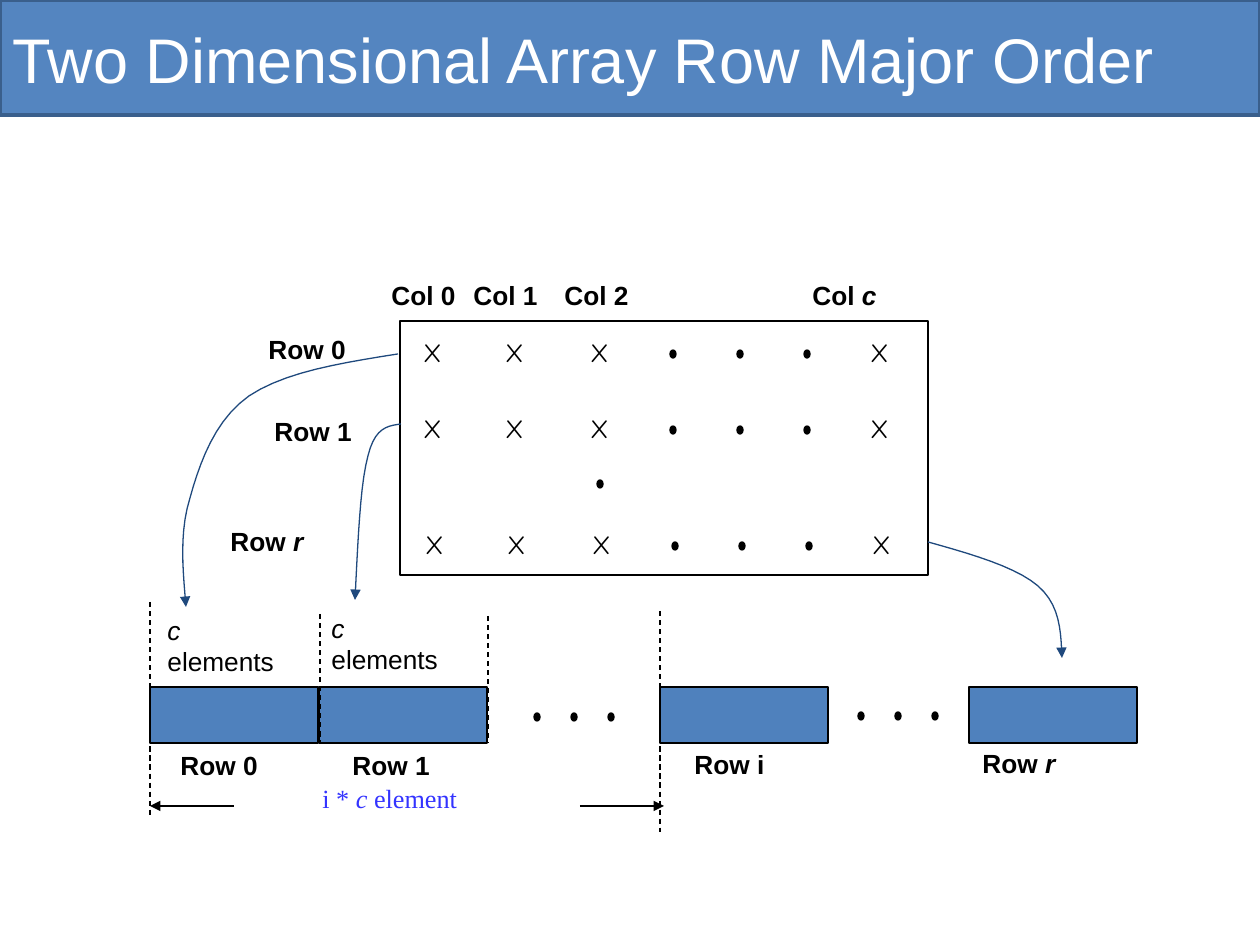
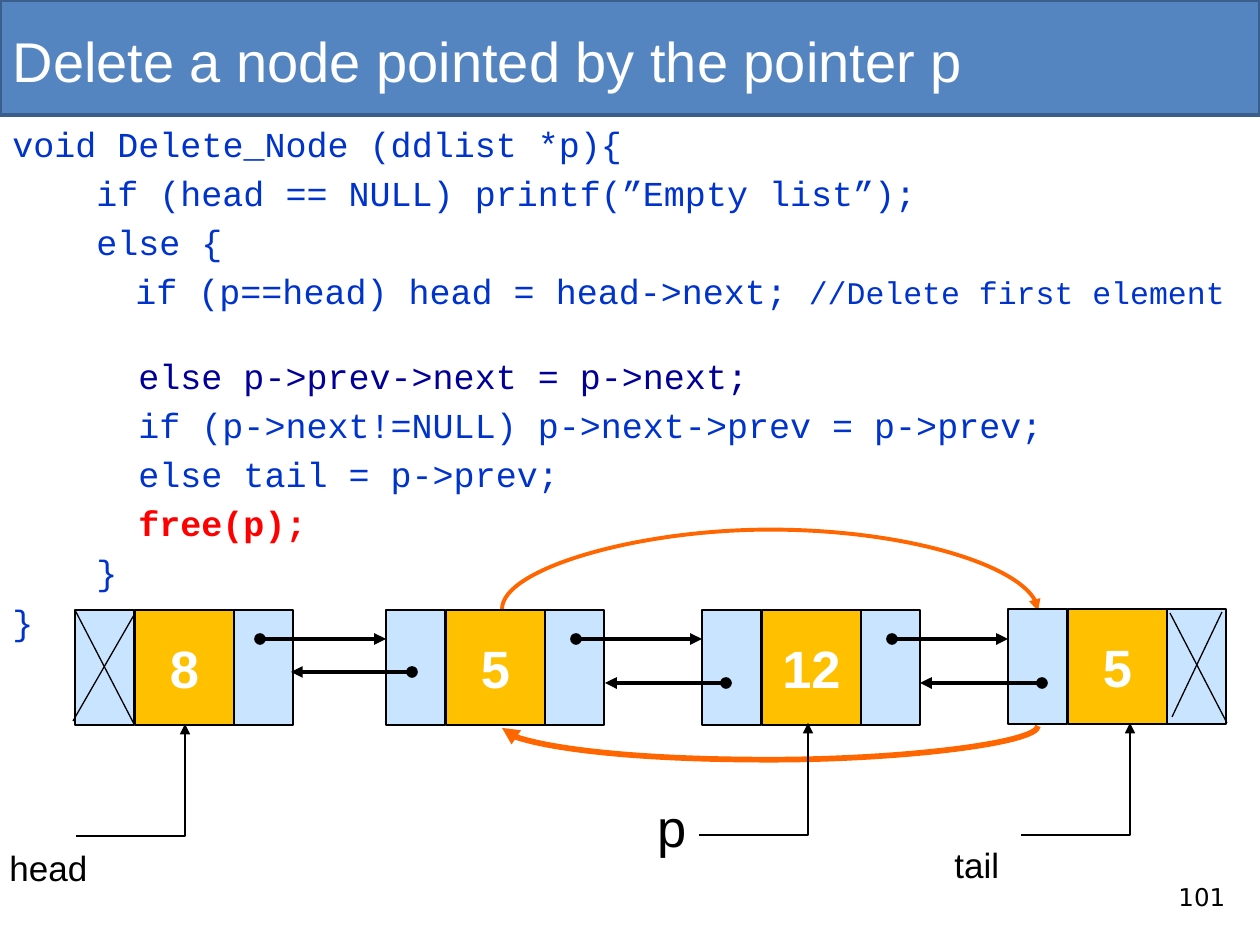
from lxml import etree
from pptx import Presentation, util as u
from pptx.dml.color import RGBColor
from pptx.enum import dml, shapes, text
from pptx.oxml.ns import qn

PX_PER_INCH = 126
BAND, BAND_EDGE = "5485C0", "3A5F8C"
BLACK, WHITE = "000000", "FFFFFF"
MEMORY_BLUE, LINK_BLUE, FORMULA_BLUE = "4F81BD", "1F497D", "3333FF"
POINTER_BLUE, DATA_GOLD, BYPASS_ORANGE = "C9E4FF", "FFC000", "FF6600"
CODE_BLUE, CODE_NAVY, CODE_RED = "0033CC", "000099", "FF0000"
BEZIER_STEPS = 10


def px(length):
    return u.Emu(round(length * 914400 / PX_PER_INCH))


def rgb(color):
    return RGBColor.from_string(color)


def set_font(font, size, color=BLACK, name="Arial", bold=False):
    font.name, font.size, font.bold = name, u.Pt(size), bold
    font.color.rgb = rgb(color)


# ---- Shapes and text ----
def add_box(page, at, fill=None, line=BLACK, weight=0.75, kind=shapes.MSO_SHAPE.RECTANGLE):
    box = page.shapes.add_shape(kind, *map(px, at))
    box.shadow.inherit = False
    if fill:
        box.fill.solid()
        box.fill.fore_color.rgb = rgb(fill)
    else:
        box.fill.background()
    box.line.color.rgb = rgb(line)
    box.line.width = u.Pt(weight)
    return box


def add_dots(page, lefts, top):
    for left in lefts:
        add_box(page, (left, top, 6, 8), BLACK, kind=shapes.MSO_SHAPE.OVAL)


def add_label(page, words, at, size=15, wrap=True, inset=None, **style):
    """Pieces between bars are italic; each line is a paragraph."""
    box = page.shapes.add_textbox(*map(px, at))
    frame = box.text_frame
    frame.word_wrap = wrap
    if inset is not None:
        frame.margin_left = frame.margin_right = px(inset)
    for number, row in enumerate(words.split("\n")):
        para = frame.add_paragraph() if number else frame.paragraphs[0]
        set_font(para.font, size, **style)
        for index, piece in enumerate(row.split("|")):
            if piece:
                span = para.add_run()
                span.text = piece
                if index % 2:
                    span.font.italic = True


def add_title(page, words, at, size):
    title = page.shapes.title
    title.left, title.top, title.width, title.height = map(px, at)
    frame = title.text_frame
    frame.text = words
    frame.auto_size = text.MSO_AUTO_SIZE.NONE
    frame.vertical_anchor = text.MSO_ANCHOR.MIDDLE
    frame.paragraphs[0].alignment = text.PP_ALIGN.LEFT
    set_font(frame.paragraphs[0].font, size, WHITE)


# ---- Lines ----
def style_line(shape, color, weight, head=None, tail=None):
    shape.line.color.rgb = rgb(color)
    shape.line.width = u.Pt(weight)
    ends = shape.line._get_or_add_ln()
    for tag, kind in (("a:headEnd", head), ("a:tailEnd", tail)):
        if kind:
            etree.SubElement(ends, qn(tag)).set("type", kind)


def add_line(page, start, end, color=BLACK, weight=0.75, head=None, tail=None,
             kind=shapes.MSO_CONNECTOR.STRAIGHT):
    line = page.shapes.add_connector(kind, *map(px, (*start, *end)))
    style_line(line, color, weight, head, tail)
    etree.SubElement(line._element.spPr, qn("a:effectLst"))
    return line


def add_elbow(page, start, end):
    elbow = add_line(page, start, end, tail="triangle", kind=shapes.MSO_CONNECTOR.ELBOW)
    elbow._element.spPr.find(qn("a:prstGeom")).set("prst", "bentConnector2")


def add_arc(page, start, end, bulge, weight):
    """Curved connector, turned a quarter, that bows down by bulge."""
    middle_x, middle_y = (start[0] + end[0]) / 2, (start[1] + end[1]) / 2
    across, down = start[0] - middle_x, start[1] - middle_y
    arc = add_line(page, (middle_x + down, middle_y - across),
                   (middle_x - down, middle_y + across), BYPASS_ORANGE, weight,
                   tail="triangle", kind=shapes.MSO_CONNECTOR.CURVE)
    properties = arc._element.spPr
    properties.find(qn("a:xfrm")).set("rot", str(90 * 60000))
    geometry = properties.find(qn("a:prstGeom"))
    values = geometry.find(qn("a:avLst"))
    if values is None:
        values = etree.SubElement(geometry, qn("a:avLst"))
    guide = etree.SubElement(values, qn("a:gd"))
    guide.set("name", "adj1")
    guide.set("fmla", f"val {round(bulge / (end[1] - start[1]) * 100000)}")


def add_curve(page, start, *segments):
    """Arrow along cubic segments, each given as two controls and an end."""
    points, origin = [], start
    for first, second, end in segments:
        for step in range(1, BEZIER_STEPS + 1):
            t = step / BEZIER_STEPS
            weights = ((1 - t) ** 3, 3 * t * (1 - t) ** 2, 3 * t * t * (1 - t), t ** 3)
            corners = (origin, first, second, end)
            points.append(tuple(px(sum(w * c[axis] for w, c in zip(weights, corners)))
                                for axis in (0, 1)))
        origin = end
    builder = page.shapes.build_freeform(px(start[0]), px(start[1]))
    builder.add_line_segments(points, close=False)
    curve = builder.convert_to_shape()
    curve.shadow.inherit = False
    curve.fill.background()
    style_line(curve, LINK_BLUE, 0.75, tail="triangle")


# ---- Slide 1 ----
def draw_matrix(page):
    add_box(page, (400, 321, 528, 254))
    for top, shift in ((330, 0), (406, 0), (522, 2)):
        for left in (411, 493, 578, 858):
            add_label(page, "X", (left + shift, top, 44, 44), wrap=False, name="Comic Neue")
        add_dots(page, [670 + shift + 67 * n for n in range(3)], top + 20)
    add_dots(page, [597], 480)
    for words, left, top, width in (
            ("Col 0", 379, 273, 108), ("Col 1", 461, 273, 108), ("Col 2", 552, 273, 108),
            ("Col |c", 800, 273, 154), ("Row 0", 256, 327, 123),
            ("Row 1", 262, 409, 118), ("Row |r", 218, 519, 161)):
        add_label(page, words, (left, top, width, 44), bold=True)


def draw_memory(page):
    for words, left, label_left, label_top in (
            ("Row 0", 150, 168, 743), ("Row 1", 319, 340, 743),
            ("Row i", 660, 682, 742), ("Row |r", 969, 970, 741)):
        add_box(page, (left, 687, 168, 56), MEMORY_BLUE)
        add_label(page, words, (label_left, label_top, 160, 44), bold=True)
    for left, top in ((155, 608), (319, 606)):
        add_label(page, "|c|\nelements", (left, top, 134, 77), wrap=False)
    for left, top in ((534, 713), (858, 712)):
        add_dots(page, [left + 37 * n for n in range(3)], top)
    for x, top, bottom in ((150, 602, 816), (320, 614, 742), (488, 616, 743), (660, 611, 832)):
        add_line(page, (x, top), (x, bottom)).line.dash_style = dml.MSO_LINE.DASH
    # Offset of row i
    add_line(page, (234, 806), (150, 806), tail="triangle")
    add_line(page, (580, 806), (664, 806), tail="triangle")
    add_label(page, "i * |c |element", (310, 776, 280, 44),
              color=FORMULA_BLUE, name="Times New Roman")


def draw_row_arrows(page):
    add_curve(page, (398, 354), ((341, 363), (285, 372), (249, 396)),
              ((215, 420), (200, 462), (190, 498)), ((179, 533), (183, 571), (186, 607)))
    add_curve(page, (401, 424), ((388, 426), (375, 427), (368, 456)),
              ((360, 485), (358, 543), (355, 600)))
    add_curve(page, (928, 542), ((971, 554), (1016, 567), (1038, 586)),
              ((1060, 605), (1061, 631), (1062, 658)))


# ---- Slide 2 ----
CODE = (
    (0, "void Delete_Node (ddlist *p){", CODE_BLUE),
    (1, " if (head == NULL) printf(”Empty list”);", CODE_BLUE),
    (1, " else {", CODE_BLUE),
    (1, "\t if (p==head) head = head->next; //Delete first element", CODE_BLUE),
    (1, "   else p->prev->next = p->next;", CODE_NAVY),
    (1, "   if (p->next!=NULL) p->next->prev = p->prev;", CODE_BLUE),
    (1, "   else tail = p->prev;", CODE_BLUE),
    (1, "   free(p);", CODE_RED),
    (1, " }", CODE_BLUE),
    (0, "}", CODE_BLUE),
)
INDENTS = ((48, -48), (102, -39))


def draw_code(page):
    frame = page.shapes.add_textbox(*map(px, (0, 116, 1250, 766))).text_frame
    frame.word_wrap = True
    for number, (level, words, color) in enumerate(CODE):
        para = frame.add_paragraph() if number else frame.paragraphs[0]
        para.level = level
        margin, indent = INDENTS[level]
        properties = para._p.get_or_add_pPr()
        properties.set("marL", str(px(margin)))
        properties.set("indent", str(px(indent)))
        if number:
            # The changed link stands apart from the first-element case
            para.space_before = u.Pt(25 if color == CODE_NAVY else 4)
        set_font(para.font, 20, color, "Courier New", color == CODE_RED)
        code, mark, comment = words.partition("//")
        para.add_run().text = code
        if mark:
            span = para.add_run()
            span.text = mark + comment
            span.font.size = u.Pt(18)


def add_node(page, value, left, top):
    for offset in (0, 159):
        add_box(page, (left + offset, top, 59, 115), POINTER_BLUE)
    data = add_box(page, (left + 60, top, 99, 115), DATA_GOLD)
    frame = data.text_frame
    frame.text = value
    frame.word_wrap = False
    frame.vertical_anchor = text.MSO_ANCHOR.MIDDLE
    frame.paragraphs[0].alignment = text.PP_ALIGN.CENTER
    set_font(frame.paragraphs[0].font, 30, WHITE, bold=True)


def draw_list(page):
    # Links that bypass the deleted node
    add_arc(page, (1038, 726), (502, 728), 34, 3.25)
    add_arc(page, (502, 609), (1038, 611), -80, 2.25)
    for value, left, top in (("8", 75, 610), ("5", 386, 610), ("12", 702, 610), ("5", 1008, 609)):
        add_node(page, value, left, top)
    # Crosses for the null links
    for start, end in (((75, 610), (134, 724)), ((73, 721), (134, 615)),
                       ((1172, 717), (1222, 612)), ((1227, 723), (1170, 613))):
        add_line(page, start, end)
    # Next and previous links
    for start, end, y in ((260, 386, 639), (412, 291, 672), (576, 702, 639),
                          (726, 605, 683), (892, 1008, 639), (1042, 920, 683)):
        add_line(page, (start, y), (end, y), weight=2.25, head="oval", tail="triangle")
    # Named pointers
    for x, y in ((76, 836), (699, 835), (1021, 835)):
        add_elbow(page, (x, y), (x + 109, y - 112))
    add_label(page, "head", (-3, 840, 139, 55), 20)
    add_label(page, "p", (650, 789, 69, 77), 30, inset=8)
    add_label(page, "tail", (942, 837, 139, 55), 20)


def main():
    deck = Presentation()
    deck.slide_width, deck.slide_height = px(1260), px(945)
    layout = deck.slide_layouts.get_by_name("Title Only")
    array_page = deck.slides.add_slide(layout)
    delete_page = deck.slides.add_slide(layout)

    # Title band, shared through the layout
    band = add_box(array_page, (0, 0, 1260, 115), BAND, BAND_EDGE, 2)
    layout.shapes._spTree.insert(2, band._element)

    add_title(array_page, "Two Dimensional Array Row Major Order", (0, 0, 1270, 116), 36)
    draw_matrix(array_page)
    draw_memory(array_page)
    draw_row_arrows(array_page)

    add_title(delete_page, "Delete a node pointed by the pointer p", (0, 10, 1137, 101), 32)
    draw_code(delete_page)
    draw_list(delete_page)
    add_label(delete_page, "101", (1166, 876, 84, 45), 14, name="DejaVu Sans")

    deck.save("out.pptx")


if __name__ == "__main__":
    main()
